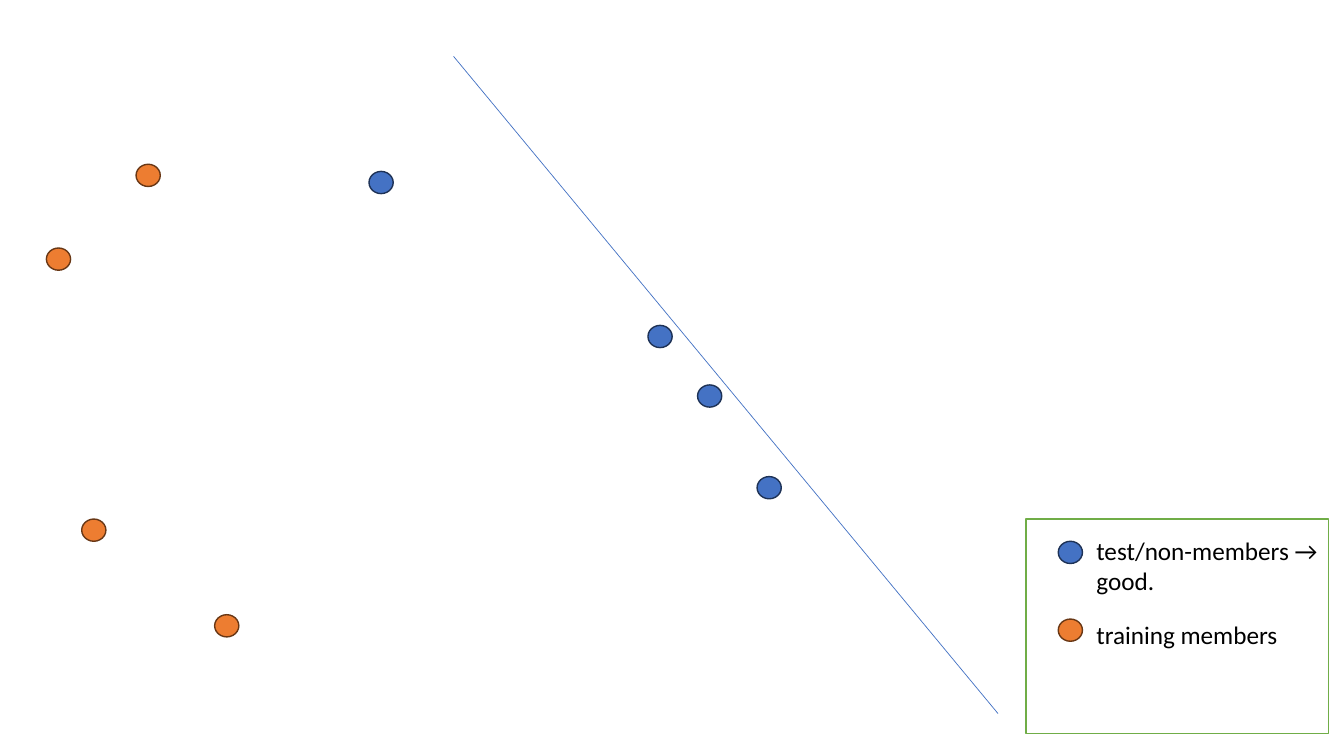
from pptx import Presentation
from pptx.dml.color import RGBColor
from pptx.enum.shapes import MSO_CONNECTOR, MSO_SHAPE
from pptx.enum.text import MSO_AUTO_SIZE
from pptx.oxml.ns import qn
from pptx.util import Cm, Pt
from lxml import etree

OVAL = MSO_SHAPE.OVAL
RECTANGLE = MSO_SHAPE.RECTANGLE
STRAIGHT = MSO_CONNECTOR.STRAIGHT
FIT_SHAPE = MSO_AUTO_SIZE.SHAPE_TO_FIT_TEXT

BLUE = "4472C4"
TEST_STYLE = {"fill": BLUE, "outline": "1E3256"}
TRAINING_STYLE = {"fill": "ED7D31", "outline": "683715"}
DOT_SIZE = (0.61, 0.56)

# Left and top of each dot, in centimetres
TEST_POINTS = [(9.3, 4.32), (16.33, 8.2), (17.58, 9.7), (19.08, 12.01)]
TRAINING_POINTS = [(3.43, 4.14), (1.17, 6.25), (2.06, 13.08), (5.41, 15.49)]

# Legend: dot top, text top, text height, wording, dot style
LEGEND_DOT_LEFT = 26.67
LEGEND_TEXT_LEFT = 27.38
LEGEND_ENTRIES = [
    (13.64, 13.36, 1.8, "test/non-members → good.", TEST_STYLE),
    (15.6, 15.49, 1.02, "training members", TRAINING_STYLE),
]


def color(hex_string):
    return RGBColor.from_string(hex_string)


def add_box(slide, kind, left, top, width, height, fill, outline):
    shape = slide.shapes.add_shape(kind, Cm(left), Cm(top), Cm(width), Cm(height))
    shape.shadow.inherit = False
    shape.fill.solid()
    shape.fill.fore_color.rgb = color(fill)
    shape.line.color.rgb = color(outline)
    shape.line.width = Pt(1)


def add_dot(slide, left, top, style):
    add_box(slide, OVAL, left, top, *DOT_SIZE, **style)


def add_boundary(slide, start, end, line_color, width):
    line = slide.shapes.add_connector(
        STRAIGHT, Cm(start[0]), Cm(start[1]), Cm(end[0]), Cm(end[1]))
    line.line.color.rgb = color(line_color)
    line.line.width = Pt(width)
    etree.SubElement(line._element.spPr, qn("a:effectLst"))


def add_text(slide, text, left, top, width, height,
             size=18, font="Calibri", text_color="000000"):
    box = slide.shapes.add_textbox(Cm(left), Cm(top), Cm(width), Cm(height))
    frame = box.text_frame
    frame.word_wrap = True
    frame.auto_size = FIT_SHAPE
    run = frame.paragraphs[0].add_run()
    run.text = text
    run.font.size = Pt(size)
    run.font.name = font
    run.font.color.rgb = color(text_color)


def add_legend(slide):
    add_box(slide, RECTANGLE, 25.86, 13.08, 7.62, 5.41,
            fill="FFFFFF", outline="70AD47")
    for dot_top, text_top, height, text, style in LEGEND_ENTRIES:
        add_dot(slide, LEGEND_DOT_LEFT, dot_top, style)
        add_text(slide, text, LEGEND_TEXT_LEFT, text_top, 6.91, height)


def main():
    presentation = Presentation()
    presentation.slide_width = Cm(33.87)
    presentation.slide_height = Cm(19.05)
    blank_layout = presentation.slide_layouts[6]
    slide = presentation.slides.add_slide(blank_layout)

    # Decision boundary
    add_boundary(slide, (11.43, 1.42), (25.15, 17.98), BLUE, 0.5)

    # Data points
    for points, style in ((TEST_POINTS, TEST_STYLE),
                          (TRAINING_POINTS, TRAINING_STYLE)):
        for left, top in points:
            add_dot(slide, left, top, style)

    add_legend(slide)
    presentation.save("out.pptx")


if __name__ == "__main__":
    main()
